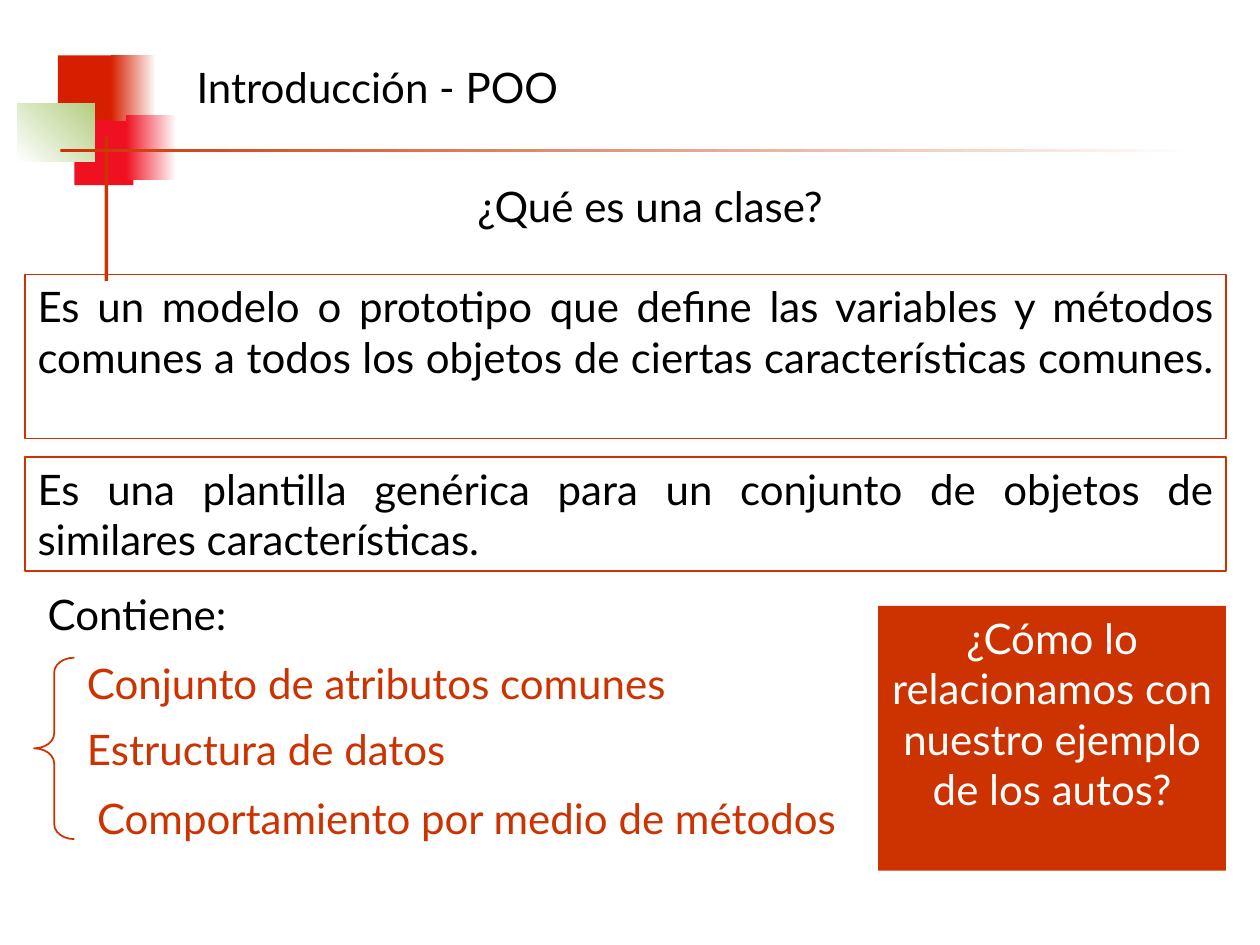
from dataclasses import dataclass

from lxml.etree import SubElement
from pptx import Presentation
from pptx.dml.color import RGBColor
from pptx.enum.shapes import MSO_SHAPE
from pptx.enum.text import MSO_ANCHOR, MSO_AUTO_SIZE, PP_ALIGN
from pptx.oxml.ns import qn
from pptx.util import Inches, Pt


@dataclass(frozen=True)
class Theme:
    font: str = "Lato"
    size: int = 24
    line: int = 1
    ink: str = "000000"
    white: str = "FFFFFF"
    rust: str = "CC3300"
    red: str = "D61F00"
    rose: str = "EF1121"
    leaf: str = "B3CE82"


THEME = Theme()


def rgb(code):
    return RGBColor.from_string(code)


def place(shape, box):
    shape.left, shape.top, shape.width, shape.height = map(Inches, box)


def write(shape, lines, color=THEME.ink, align=PP_ALIGN.LEFT, wrap=True):
    frame = shape.text_frame
    frame.text = "\n".join(lines)
    frame.word_wrap = wrap
    frame.auto_size = MSO_AUTO_SIZE.NONE
    frame.vertical_anchor = MSO_ANCHOR.TOP
    for para in frame.paragraphs:
        para.alignment = align
        para.line_spacing = 1.0
        para.space_before = Pt(0)
        for run in para.runs:
            run.font.name = THEME.font
            run.font.size = Pt(THEME.size)
            run.font.color.rgb = rgb(color)


def draw(slide, box, kind=MSO_SHAPE.RECTANGLE, fill=None, line=None):
    shape = slide.shapes.add_shape(kind, *map(Inches, box))
    shape.shadow.inherit = False
    if fill:
        shape.fill.solid()
        shape.fill.fore_color.rgb = rgb(fill)
    else:
        shape.fill.background()
    if line:
        shape.line.color.rgb = rgb(line)
        shape.line.width = Pt(THEME.line)
    else:
        shape.line.fill.background()
    return shape


def fade(slide, box, start, end, angle=0):
    """Draw a block whose colour runs from start to end."""
    fill = draw(slide, box).fill
    fill.gradient()
    fill.gradient_angle = angle
    for stop, color in zip(fill.gradient_stops, (start, end)):
        stop.color.rgb = rgb(color)


def label(slide, box, text, **style):
    write(slide.shapes.add_textbox(*map(Inches, box)), [text], **style)


def emblem(slide, box):
    """Overlapping blocks and the two crossing rules."""
    x, y, wide, high = box
    for dx, dy, color in ((0.32, 0, THEME.red), (0.45, 0.51, THEME.rose)):
        draw(slide, (x + dx, y + dy, 0.47, 0.52), fill=color)
    fade(slide, (x + 0.74, y, 0.36, 0.52), THEME.red, THEME.white)
    fade(slide, (x + 0.86, y + 0.47, 0.4, 0.52), THEME.rose, THEME.white)
    fade(slide, (x, y + 0.38, 0.61, 0.46), THEME.white, THEME.leaf, 45)
    draw(slide, (x + 0.69, y + 0.64, 0.03, high - 0.64), fill=THEME.rust)
    fade(slide, (x + 0.34, y + 0.74, wide - 0.34, 0.03),
         THEME.rust, THEME.white)


def heading(slide, box):
    x, y, wide, _ = box
    place(slide.shapes.title, (x, y, 4.1, 0.5))
    write(slide.shapes.title, ["Introducción - POO"])
    label(slide, (x + 2.23, y + 0.94, 3.13, 0.5), "¿Qué es una clase?",
          wrap=False)


def meaning(slide, box):
    """Two framed definitions, one above the other."""
    x, y, wide, high = box
    texts = (
        "Es un modelo o prototipo que define las variables y métodos "
        "comunes a todos los objetos de ciertas características comunes. ",
        "Es una plantilla genérica para un conjunto de objetos de "
        "similares características. ",
    )
    tall, short = 1.3, 0.9
    spots = ((y, tall), (y + high - short, short))
    for text, (top, size) in zip(texts, spots):
        frame = draw(slide, (x, top, wide, size), line=THEME.rust)
        write(frame, [text], align=PP_ALIGN.JUSTIFY)


def content(slide, box):
    """Braced list of what a class holds."""
    x, y, wide, high = box
    label(slide, (x, y, 2.1, 0.5), "Contiene:", align=PP_ALIGN.JUSTIFY)
    body = slide.placeholders[1]
    place(body, (x + 0.31, y + 0.55, wide - 0.31, high - 0.55))
    write(body, ["Conjunto de atributos comunes", "Estructura de datos",
                 "Comportamiento por medio de métodos"],
          color=THEME.rust, align=PP_ALIGN.JUSTIFY)
    rows = zip(body.text_frame.paragraphs, (0, 0, 0.08), (0, 8.5, 11))
    for para, inset, gap in rows:
        props = para._p.get_or_add_pPr()
        props.set("marL", str(Inches(inset)))
        props.set("indent", "0")
        SubElement(props, qn("a:buNone"))
        para.space_before = Pt(gap)
    brace = draw(slide, (x - 0.01, y + 0.6, 0.32, 1.44),
                 MSO_SHAPE.LEFT_BRACE, line=THEME.rust)
    brace.adjustments[0] = 0.37


def question(slide, box):
    write(draw(slide, box, fill=THEME.rust),
          ["¿Cómo lo relacionamos con nuestro ejemplo de los autos?"],
          color=THEME.white, align=PP_ALIGN.CENTER)


def main():
    deck = Presentation()
    deck.slide_width, deck.slide_height = Inches(10), Inches(7.5)
    slide = deck.slides.add_slide(deck.slide_layouts[1])
    emblem(slide, (0.14, 0.44, 9.34, 1.79))
    heading(slide, (1.46, 0.44, 8.27, 1.44))
    meaning(slide, (0.2, 2.18, 9.53, 2.35))
    content(slide, (0.28, 4.62, 6.69, 2.12))
    question(slide, (6.97, 4.81, 2.76, 2.1))
    deck.save("out.pptx")


if __name__ == "__main__":
    main()
